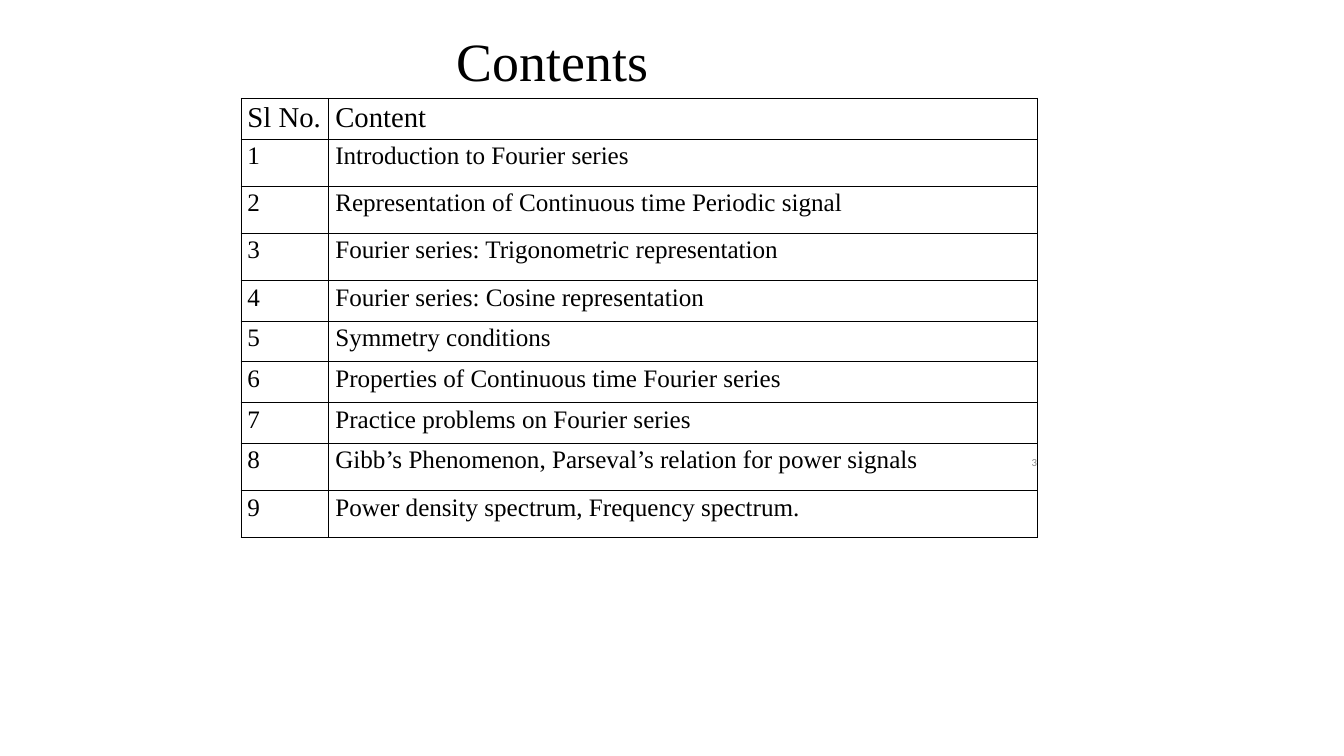
from lxml import etree
from pptx import Presentation
from pptx import util as u
from pptx.dml.color import RGBColor
from pptx.enum import text as t
from pptx.oxml.ns import qn

HUES = {"ink": "000000", "grey": "888888", "line": "000000"}
SERIF = "Times New Roman"
TOPICS = [
    "Introduction to Fourier series",
    "Representation of Continuous time Periodic signal",
    "Fourier series: Trigonometric representation",
    "Fourier series: Cosine representation",
    "Symmetry conditions",
    "Properties of Continuous time Fourier series",
    "Practice problems on Fourier series",
    "Gibb’s Phenomenon, Parseval’s relation for power signals",
    "Power density spectrum, Frequency spectrum.",
]
COLS = [1.36, 10.97]
SHORT, TALL = 0.63, 0.73
SMALL = {0, 4, 5, 6, 7}  # rows of the lower height


def write(frame, words, size=28, font=SERIF, hue="ink", align=t.PP_ALIGN.LEFT):
    """Put one formatted paragraph in a text frame."""
    para = frame.paragraphs[0]
    para.alignment = align
    run = para.add_run()
    run.text = words
    run.font.size = u.Pt(size)
    run.font.name = font
    run.font.color.rgb = RGBColor.from_string(HUES[hue])


def frame_cell(cell):
    """Draw a thin line on all four sides of a cell."""
    props = cell._tc.get_or_add_tcPr()
    for spot, side in enumerate(("a:lnL", "a:lnR", "a:lnT", "a:lnB")):
        line = etree.Element(qn(side), w=str(u.Pt(1)))
        fill = etree.SubElement(line, qn("a:solidFill"))
        etree.SubElement(fill, qn("a:srgbClr"), val=HUES["line"])
        props.insert(spot, line)


def add_title(slide, box):
    title = slide.shapes.title
    title.left, title.top, title.width, title.height = map(u.Inches, box)
    frame = title.text_frame
    frame.auto_size = t.MSO_AUTO_SIZE.NONE
    frame.vertical_anchor = t.MSO_ANCHOR.TOP
    frame.margin_left = frame.margin_right = 0
    frame.margin_top = frame.margin_bottom = 0
    write(frame, "Contents", size=60, align=t.PP_ALIGN.CENTER)


def add_topics(slide, left, top):
    rows = [("Sl No.", "Content")]
    rows += [(str(n), topic) for n, topic in enumerate(TOPICS, 1)]
    highs = [SHORT if r in SMALL else TALL for r in range(len(rows))]
    box = map(u.Inches, (left, top, sum(COLS), sum(highs)))
    table = slide.shapes.add_table(len(rows), len(COLS), *box).table
    table.first_row = table.horz_banding = False
    for col, wide in zip(table.columns, COLS):
        col.width = u.Inches(wide)
    for r, (row, high) in enumerate(zip(rows, highs)):
        table.rows[r].height = u.Inches(high)
        for c, words in enumerate(row):
            cell = table.cell(r, c)
            cell.fill.background()
            frame_cell(cell)
            write(cell.text_frame, words, size=28 if r else 32)


def add_number(slide, box):
    frame = slide.shapes.add_textbox(*map(u.Inches, box)).text_frame
    frame.word_wrap = True
    frame.vertical_anchor = t.MSO_ANCHOR.MIDDLE
    write(frame, "3", size=12, font="Calibri", hue="grey", align=t.PP_ALIGN.RIGHT)


def main():
    deck = Presentation()
    deck.slide_width, deck.slide_height = u.Inches(20.8), u.Inches(11.7)
    slide = deck.slides.add_slide(deck.slide_layouts[5])
    add_title(slide, (1.32, 0.43, 14.46, 0.83))
    add_topics(slide, 3.73, 1.52)
    add_number(slide, (13.15, 6.95, 3, 0.4))
    deck.save("out.pptx")


if __name__ == "__main__":
    main()
